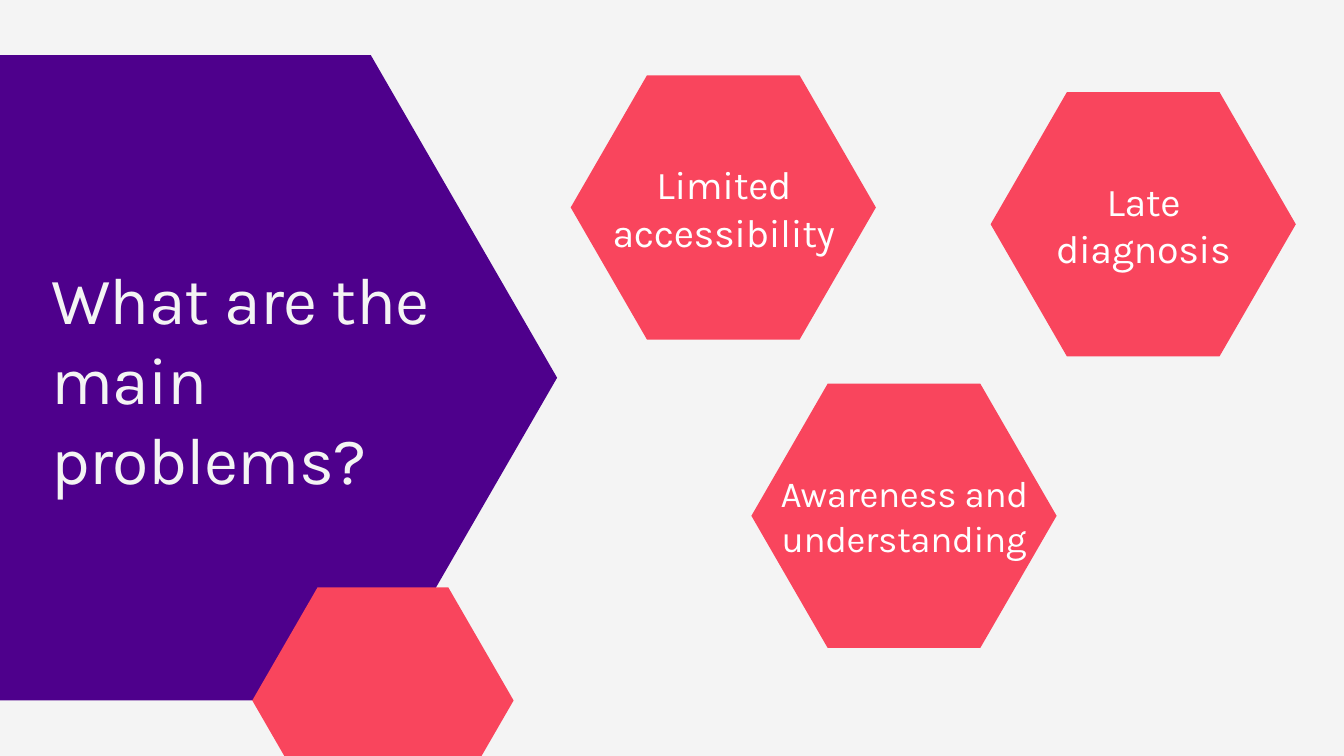
from dataclasses import dataclass
from math import sqrt

from pptx import Presentation
from pptx import util as u
from pptx.dml.color import RGBColor
from pptx.enum import shapes, text
from pptx.shapes.autoshape import Shape
from pptx.slide import Slide

PURPLE = RGBColor(0x4E, 0x00, 0x8C)
CORAL = RGBColor(0xF9, 0x45, 0x5D)
PALE = RGBColor(0xF4, 0xF4, 0xF4)
WHITE = RGBColor(0xFF, 0xFF, 0xFF)
FONT = "Karla"
HEIGHT_RATIO = sqrt(3) / 2


@dataclass(frozen=True)
class Hexagon:
    left: float
    top: float
    width: float
    color: RGBColor = CORAL


@dataclass(frozen=True)
class Label:
    wording: str
    left: float
    top: float
    width: float
    height: float
    size: float
    leading: float
    tracking: int = -40
    color: RGBColor = WHITE
    align: text.PP_ALIGN = text.PP_ALIGN.CENTER


PROBLEM_WIDTH = 327
HEXAGONS = [
    Hexagon(-201.6, 59, 798.5, PURPLE),
    Hexagon(270.3, 629.3, 280),
    Hexagon(1061.4, 98.7, PROBLEM_WIDTH),
    Hexagon(611.5, 80.7, PROBLEM_WIDTH),
    Hexagon(805.1, 411.1, PROBLEM_WIDTH),
]
QUESTION = Label("What are the main problems?", 54.7, 277.2, 431.3, 254.9,
                 71, 85.2, -70, PALE, text.PP_ALIGN.LEFT)
PROBLEMS = [
    Label("Late diagnosis", 1118.2, 190.1, 213.8, 100.8, 42.2, 50.6),
    Label("Limited accessibility", 653.8, 172.1, 243.4, 100.8, 42.2, 50.6),
    Label("Awareness and understanding", 828.7, 504.7, 280.1, 95, 39.4, 47.3),
]


def draw_hexagon(slide: Slide, item: Hexagon) -> None:
    hexagon = slide.shapes.add_shape(
        shapes.MSO_SHAPE.HEXAGON, u.Pt(item.left), u.Pt(item.top),
        u.Pt(item.width), u.Pt(item.width * HEIGHT_RATIO))
    hexagon.adjustments[0] = 0.25 / HEIGHT_RATIO
    hexagon.shadow.inherit = False
    hexagon.fill.solid()
    hexagon.fill.fore_color.rgb = item.color
    hexagon.line.fill.background()


def write_label(holder: Shape, label: Label) -> None:
    holder.left, holder.top = u.Pt(label.left), u.Pt(label.top)
    holder.width, holder.height = u.Pt(label.width), u.Pt(label.height)
    frame = holder.text_frame
    frame.margin_left = frame.margin_right = u.Pt(0)
    frame.margin_top = frame.margin_bottom = u.Pt(0)
    frame.word_wrap = True
    frame.auto_size = text.MSO_AUTO_SIZE.NONE
    frame.vertical_anchor = text.MSO_ANCHOR.TOP
    paragraph = frame.paragraphs[0]
    paragraph.alignment = label.align
    paragraph.line_spacing = u.Pt(label.leading)
    paragraph.space_before = u.Pt(0)
    run = paragraph.add_run()
    run.text = label.wording
    run.font.name = FONT
    run.font.size = u.Pt(label.size)
    run.font.color.rgb = label.color
    run.font._element.set("spc", str(label.tracking))


def main() -> None:
    deck = Presentation()
    deck.slide_width, deck.slide_height = u.Pt(1440), u.Pt(810)
    slide = deck.slides.add_slide(deck.slide_layouts[5])
    slide.background.fill.solid()
    slide.background.fill.fore_color.rgb = PALE

    for hexagon in HEXAGONS:
        draw_hexagon(slide, hexagon)

    question = slide.shapes.title
    question.element.getparent().append(question.element)
    write_label(question, QUESTION)

    for problem in PROBLEMS:
        caption = slide.shapes.add_textbox(
            u.Pt(problem.left), u.Pt(problem.top), u.Pt(problem.width), u.Pt(problem.height))
        write_label(caption, problem)

    deck.save("out.pptx")


if __name__ == "__main__":
    main()
